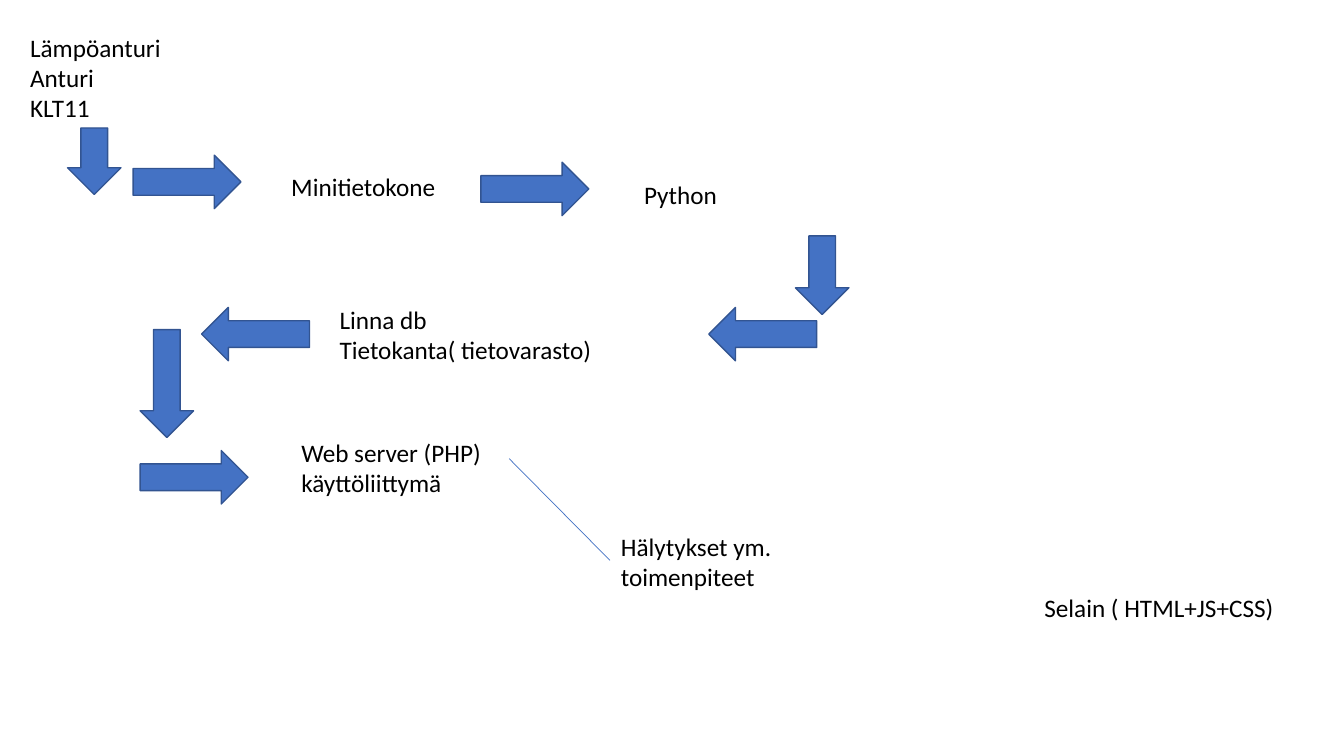
from pptx import Presentation
from pptx import util as u
from pptx.dml.color import RGBColor
from pptx.enum import shapes, text
from pptx.oxml.ns import qn
from lxml import etree

# Content: (left, top, width, lines)
STEPS = [
    (0.2, 0.27, 1.87, ["Lämpöanturi", "Anturi", "KLT11"]),
    (2.79, 1.65, 3.59, ["Minitietokone"]),
    (6.29, 1.73, 2.97, ["Python"]),
    (3.27, 2.97, 3.76, ["Linna db", "Tietokanta( tietovarasto)"]),
    (2.89, 4.29, 3.09, ["Web server (PHP)", "käyttöliittymä"]),
    (6.06, 5.22, 3, ["Hälytykset ym. toimenpiteet"]),
    (10.26, 5.83, 2.82, ["Selain ( HTML+JS+CSS)"]),
]

# Arrows in flow order: (direction, left, top, length)
FLOW = [
    ("down", 0.67, 1.27, 0.66),
    ("right", 1.32, 1.54, 1.07),
    ("right", 4.77, 1.61, 1.07),
    ("down", 7.89, 2.34, 0.78),
    ("left", 7.03, 3.05, 1.07),
    ("left", 2, 3.05, 1.07),
    ("down", 1.39, 3.27, 1.07),
    ("right", 1.39, 4.47, 1.07),
]
ALERT_LINK = (5.05, 4.55, 6.05, 5.56)

THEME = {
    "font": "Calibri",
    "size": u.Pt(18),
    "ink": RGBColor.from_string("000000"),
    "blue": RGBColor.from_string("4472C4"),
    "outline": RGBColor.from_string("325491"),
    "outline_width": u.Pt(1),
    "link_width": u.Pt(0.5),
}
ARROWS = {
    "down": shapes.MSO_SHAPE.DOWN_ARROW,
    "right": shapes.MSO_SHAPE.RIGHT_ARROW,
    "left": shapes.MSO_SHAPE.LEFT_ARROW,
}
ARROW_BREADTH = 0.53
LINE_HEIGHT, PADDING = 0.3, 0.1
FRAME_FORMAT = {
    "word_wrap": True,
    "auto_size": text.MSO_AUTO_SIZE.SHAPE_TO_FIT_TEXT,
    "vertical_anchor": text.MSO_ANCHOR.TOP,
}
FONT_FORMAT = {"name": THEME["font"], "size": THEME["size"]}


def apply_format(target, values):
    for attribute, value in values.items():
        setattr(target, attribute, value)


def add_step(slide, left, top, width, lines):
    # The alert label wraps onto a second line
    rows = 2 if len(lines[0]) > 25 else len(lines)
    step = slide.shapes.add_textbox(
        *map(u.Inches, (left, top, width, rows * LINE_HEIGHT + PADDING)))
    frame = step.text_frame
    apply_format(frame, FRAME_FORMAT)
    frame.text = "\n".join(lines)
    for paragraph in frame.paragraphs:
        font = paragraph.runs[0].font
        apply_format(font, FONT_FORMAT)
        font.color.rgb = THEME["ink"]


def add_arrow(slide, direction, left, top, length):
    size = (ARROW_BREADTH, length) if direction == "down" else (length, ARROW_BREADTH)
    arrow = slide.shapes.add_shape(ARROWS[direction], *map(u.Inches, (left, top, *size)))
    arrow.shadow.inherit = False
    arrow.fill.solid()
    arrow.fill.fore_color.rgb = THEME["blue"]
    arrow.line.color.rgb = THEME["outline"]
    arrow.line.width = THEME["outline_width"]


def main():
    deck = Presentation()
    deck.slide_width, deck.slide_height = u.Inches(13.33), u.Inches(7.5)
    slide = deck.slides.add_slide(deck.slide_layouts[6])

    # Steps and the arrows between them
    for step in STEPS:
        add_step(slide, *step)
    for arrow in FLOW:
        add_arrow(slide, *arrow)

    # Thin line from the web server to the alerts
    link = slide.shapes.add_connector(
        shapes.MSO_CONNECTOR.STRAIGHT, *map(u.Inches, ALERT_LINK))
    link.line.color.rgb = THEME["blue"]
    link.line.width = THEME["link_width"]
    etree.SubElement(link._element.spPr, qn("a:effectLst"))

    deck.save("out.pptx")


if __name__ == "__main__":
    main()
